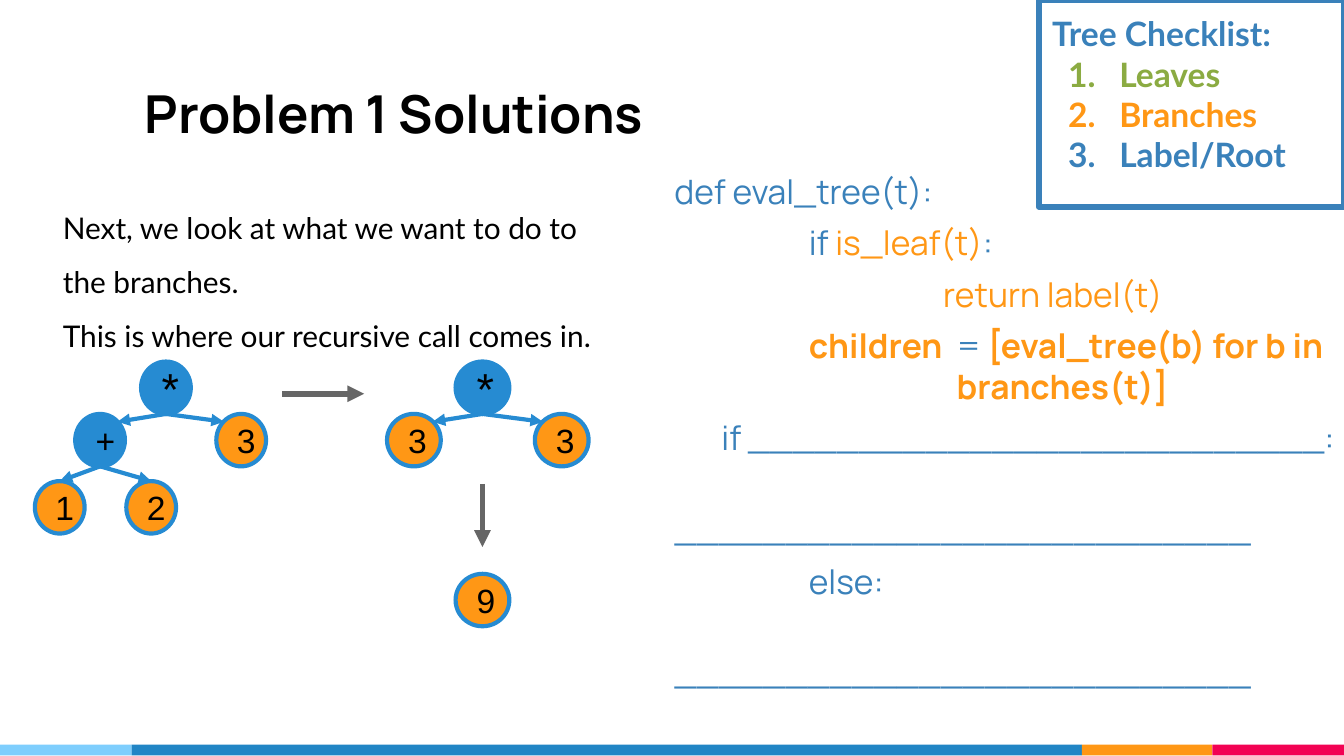
from pptx import Presentation
from pptx.dml.color import RGBColor
from pptx.enum.shapes import MSO_CONNECTOR, MSO_SHAPE
from pptx.enum.text import MSO_ANCHOR, PP_ALIGN
from pptx.oxml.ns import qn
from pptx.util import Inches, Pt
from lxml import etree

RECT, OVAL = MSO_SHAPE.RECTANGLE, MSO_SHAPE.OVAL
STRAIGHT = MSO_CONNECTOR.STRAIGHT
TOP, MIDDLE, BOTTOM = MSO_ANCHOR.TOP, MSO_ANCHOR.MIDDLE, MSO_ANCHOR.BOTTOM
LEFT = PP_ALIGN.LEFT
BLUE, ORANGE, GREEN, BLACK = "3A81BA", "FF9715", "8BAB42", "000000"
NODE_BLUE, GREY = "268BD2", "666666"
BLANK_LINE = "_" * 26
TOP_SITE, TOP_LEFT, TOP_RIGHT = (0.5, 0), (0.15, 0.15), (0.85, 0.15)


def rgb(value):
    """Turn a hex string into a colour."""
    return RGBColor.from_string(value)


def add_runs(p, runs, size, font):
    """Add (text, colour, bold) runs to a paragraph."""
    p.alignment = LEFT
    for text, color, bold in runs:
        r = p.add_run()
        r.text = text
        r.font.size, r.font.name, r.font.bold = Pt(size), font, bold
        r.font.color.rgb = rgb(color)


def set_frame(sp, anchor):
    """Give a shape's text frame equal insets and wrapping."""
    tf = sp.text_frame
    tf.word_wrap, tf.vertical_anchor = True, anchor
    tf.margin_left = tf.margin_right = tf.margin_top = tf.margin_bottom = Inches(0.1)
    return tf


def add_text(s, box, anchor=TOP):
    """Add a text box and return its frame."""
    return set_frame(s.shapes.add_textbox(*map(Inches, box)), anchor)


def add_paragraph(tf, index):
    """Return the first paragraph or a new one."""
    return tf.add_paragraph() if index else tf.paragraphs[0]


def add_shape(s, kind, box, fill=None, line=None, width=0):
    """Add a preset shape with the given fill and outline."""
    sp = s.shapes.add_shape(kind, *map(Inches, box))
    sp.shadow.inherit = False
    if fill:
        sp.fill.solid()
        sp.fill.fore_color.rgb = rgb(fill)
    else:
        sp.fill.background()
    if line:
        sp.line.color.rgb, sp.line.width = rgb(line), Pt(width)
    else:
        sp.line.fill.background()
    return sp


def add_arrow(s, start, end, color, width):
    """Draw a straight arrow from start to end."""
    c = s.shapes.add_connector(STRAIGHT, *map(Inches, (*start, *end)))
    c.line.color.rgb, c.line.width = rgb(color), Pt(width)
    etree.SubElement(c._element.spPr.find(qn("a:ln")), qn("a:tailEnd"), type="triangle")
    etree.SubElement(c._element.spPr, qn("a:effectLst"))


def add_footer(s, x, y, h):
    """Draw the coloured strip along the bottom."""
    for width, color in ((0.98, "7ECEFD"), (7.07, "2185C5"), (0.97, ORANGE), (0.98, "F20253")):
        add_shape(s, RECT, (x, y, width, h), color)
        x += width


def add_title(s, box):
    """Write the slide title."""
    tf = add_text(s, box, BOTTOM)
    add_runs(tf.paragraphs[0], [("Problem 1 Solutions", BLACK, True)], 28, "Manrope")


def add_code(s, box):
    """Write the function outline with its blanks."""
    lines = [
        ((), [("def eval_tree(t):", BLUE, False)]),
        ((1,), [("\tif ", BLUE, False), ("is_leaf(t)", ORANGE, False), (":", BLUE, False)]),
        ((1, 2), [("\t\treturn label(t)", ORANGE, False)]),
        ((1, 2.1), [("\tchildren", ORANGE, True), ("  = ", BLUE, False),
                    ("[eval_tree(b) for b in", ORANGE, True)]),
        ((0.35,), [(f"\tif {BLANK_LINE}:", BLUE, False)]),
        ((1, 2), [(f"\t\t{BLANK_LINE}", BLUE, False)]),
        ((1,), [("\telse:", BLUE, False)]),
        ((1, 2), [(f"\t\t{BLANK_LINE}", BLUE, False)]),
    ]
    tf = add_text(s, box)
    for i, (stops, runs) in enumerate(lines):
        p = add_paragraph(tf, i)
        p.space_before = Pt(6 if i else 0)
        tabs = etree.SubElement(p._p.get_or_add_pPr(), qn("a:tabLst"))
        for stop in stops:
            etree.SubElement(tabs, qn("a:tab"), pos=str(Inches(stop)), algn="l")
        add_runs(p, runs, 18, "Manrope")
    p = tf.paragraphs[3]
    p.add_line_break()
    add_runs(p, [("\t\tbranches(t)]", ORANGE, True)], 18, "Manrope")


def add_checklist(s, box):
    """Draw the framed, numbered checklist."""
    tf = set_frame(add_shape(s, RECT, box, None, BLUE, 3), TOP)
    add_runs(tf.paragraphs[0], [("Tree Checklist:", BLUE, True)], 18, "Lato")
    for text, color in (("Leaves", GREEN), ("Branches", ORANGE), ("Label/Root", BLUE)):
        p = tf.add_paragraph()
        pPr = p._p.get_or_add_pPr()
        pPr.set("marL", str(Inches(0.5)))
        pPr.set("indent", str(Inches(-0.38)))
        etree.SubElement(etree.SubElement(pPr, qn("a:buClr")), qn("a:srgbClr"), val=color)
        etree.SubElement(pPr, qn("a:buFont"), typeface="Lato")
        etree.SubElement(pPr, qn("a:buAutoNum"), type="arabicPeriod")
        add_runs(p, [(text, color, True)], 18, "Lato")


def add_explanation(s, box):
    """Write the explanation above the trees."""
    tf = add_text(s, box)
    for i, text in enumerate(("Next, we look at what we want to do to the branches.",
                              "This is where our recursive call comes in.")):
        p = add_paragraph(tf, i)
        p.line_spacing = 1.5
        add_runs(p, [(text, BLACK, False)], 16, "Lato")


def add_tree(s, x, y, w, nodes, edges=()):
    """Draw nodes (label, dx, dy) and edges (parent, child, site) from a corner."""
    h = 0.39
    for label, dx, dy in nodes:
        fill = ORANGE if label.isdigit() else NODE_BLUE
        sp = add_shape(s, OVAL, (x + dx, y + dy, w, h), fill, NODE_BLUE, 2.25)
        p = set_frame(sp, MIDDLE).paragraphs[0]
        add_runs(p, [(label, BLACK, False)], 24 if label == "*" else 18, "Arial")
    for parent, child, (fx, fy) in edges:
        _, px, py = nodes[parent]
        _, cx, cy = nodes[child]
        add_arrow(s, (x + px + w / 2, y + py + h), (x + cx + fx * w, y + cy + fy * h),
                  NODE_BLUE, 2.25)


def add_evaluation(s, x, y):
    """Draw the tree, its reduced form and the result, joined by arrows."""
    add_tree(s, x, y, 0.37,
             [("*", 0.79, 0), ("+", 0.3, 0.39), ("1", 0, 0.89), ("2", 0.68, 0.89), ("3", 1.35, 0.39)],
             [(0, 1, TOP_RIGHT), (0, 4, TOP_LEFT), (1, 2, TOP_SITE), (1, 3, TOP_SITE)])
    add_tree(s, x + 2.62, y, 0.4,
             [("*", 0.51, 0), ("3", 0, 0.39), ("3", 1.1, 0.39)],
             [(0, 1, TOP_RIGHT), (0, 2, TOP_LEFT)])
    add_arrow(s, (x + 1.84, y + 0.24), (x + 2.45, y + 0.24), GREY, 3)
    add_arrow(s, (x + 3.33, y + 0.91), (x + 3.33, y + 1.38), GREY, 3)
    add_tree(s, x + 3.13, y + 1.58, 0.4, [("9", 0, 0)])


def main():
    """Build and save the slide."""
    prs = Presentation()
    prs.slide_width, prs.slide_height = Inches(10), Inches(10 * 9 / 16)
    s = prs.slides.add_slide(prs.slide_layouts[6])
    add_footer(s, 0, 5.54, 0.08)
    add_title(s, (0.98, 0.23, 7.07, 0.94))
    add_code(s, (4.92, 1.17, 5.24, 3.28))
    add_checklist(s, (7.73, 0, 2.27, 1.54))
    add_explanation(s, (0.37, 1.33, 4.36, 0.94))
    add_evaluation(s, 0.26, 2.69)
    prs.save("out.pptx")


if __name__ == "__main__":
    main()
